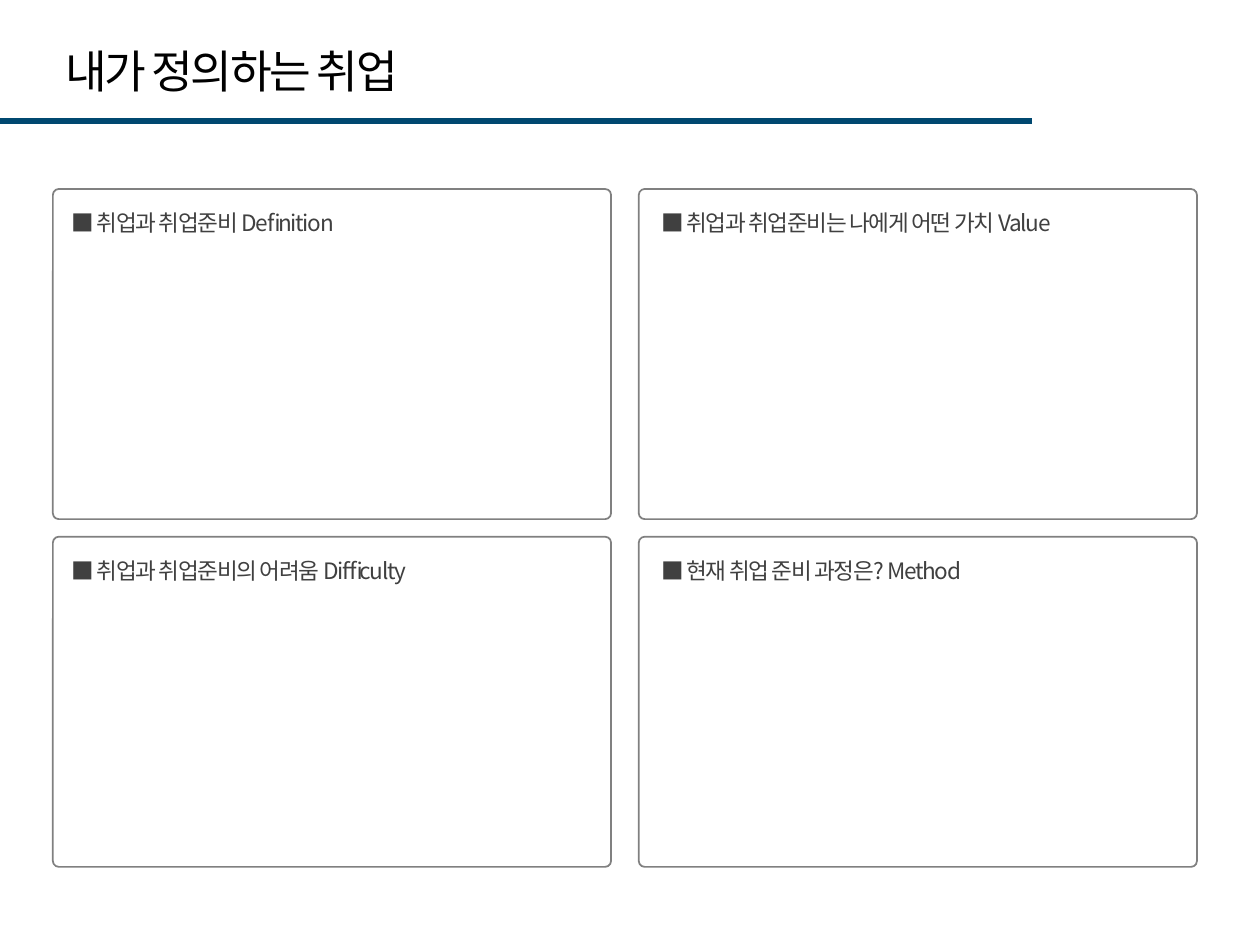
from dataclasses import dataclass

from lxml.etree import SubElement
from pptx import Presentation
from pptx.dml.color import RGBColor
from pptx.enum.shapes import MSO_CONNECTOR as Connector
from pptx.enum.shapes import MSO_SHAPE as Shape
from pptx.enum.text import MSO_AUTO_SIZE as AutoSize
from pptx.oxml.ns import qn
from pptx.slide import Slide
from pptx.util import Inches, Pt

FONT = "Noto Sans CJK KR"
COLORS = {"rule": "004870", "title": "000000", "border": "808080", "heading": "404040"}

PANEL_WIDTH, PANEL_HEIGHT = 4.43, 2.62
PANEL_LEFT, PANEL_TOP = 0.42, 1.5
COLUMN_STEP, ROW_STEP = 4.65, 2.76
HEADING_LEFTS = (0.57, 5.25)
HEADING_DROP = 0.14
PANEL_HEADINGS = (
    ("■ 취업과 취업준비 Definition", "■ 취업과 취업준비는 나에게 어떤 가치 Value"),
    ("■ 취업과 취업준비의 어려움 Difficulty", "■ 현재 취업 준비 과정은? Method"),
)


@dataclass(frozen=True)
class Label:
    text: str
    left: float
    top: float
    width: float
    height: float
    size: float
    color: str
    tracking: float
    frame_format: dict
    para_format: dict


def rgb(name: str) -> RGBColor:
    return RGBColor.from_string(COLORS[name])


def apply_format(target: object, values: dict) -> None:
    for name, value in values.items():
        setattr(target, name, value)


def add_label(page: Slide, label: Label) -> None:
    box = page.shapes.add_textbox(
        Inches(label.left), Inches(label.top), Inches(label.width), Inches(label.height)
    )
    frame = box.text_frame
    apply_format(frame, {"auto_size": AutoSize.SHAPE_TO_FIT_TEXT, **label.frame_format})
    para = frame.paragraphs[0]
    apply_format(para, label.para_format)
    span = para.add_run()
    span.text = label.text
    apply_format(span.font, {"name": FONT, "size": Pt(label.size)})
    span.font.color.rgb = rgb(label.color)
    properties = span._r.get_or_add_rPr()
    properties.set("spc", str(round(label.tracking * 100)))
    SubElement(properties, qn("a:ea"), typeface=FONT)


def add_rule(page: Slide) -> None:
    rule = page.shapes.add_connector(
        Connector.STRAIGHT, Inches(0), Inches(0.96), Inches(8.19), Inches(0.96)
    )
    rule.line.color.rgb = rgb("rule")
    rule.line.width = Pt(3)
    SubElement(rule._element.spPr, qn("a:effectLst"))


def add_panel(page: Slide, left: float, top: float) -> None:
    panel = page.shapes.add_shape(
        Shape.ROUNDED_RECTANGLE,
        Inches(left), Inches(top), Inches(PANEL_WIDTH), Inches(PANEL_HEIGHT),
    )
    panel.adjustments[0] = 0.018
    panel.shadow.inherit = False
    panel.fill.background()
    panel.line.color.rgb = rgb("border")
    panel.line.width = Pt(1)


def add_heading(page: Slide, text: str, left: float, top: float) -> None:
    margins = dict.fromkeys(
        ("margin_left", "margin_top", "margin_right", "margin_bottom"), Inches(0)
    )
    add_label(page, Label(
        text, left, top, 4.14, 0.22, 12.9, "heading", -0.7,
        {"word_wrap": True, **margins}, {"line_spacing": 1.1},
    ))


def main() -> None:
    deck = Presentation()
    deck.slide_width, deck.slide_height = Inches(10), Inches(7.5)
    page = deck.slides.add_slide(deck.slide_layouts[6])

    add_rule(page)
    add_label(page, Label(
        "내가 정의하는 취업", 0.42, 0.29, 2.93, 0.54, 25.9, "title", -1.4,
        {"word_wrap": False}, {},
    ))
    for row, headings in enumerate(PANEL_HEADINGS):
        top = PANEL_TOP + row * ROW_STEP
        for column, heading in enumerate(headings):
            add_panel(page, PANEL_LEFT + column * COLUMN_STEP, top)
            add_heading(page, heading, HEADING_LEFTS[column], top + HEADING_DROP)

    deck.save("out.pptx")


if __name__ == "__main__":
    main()
